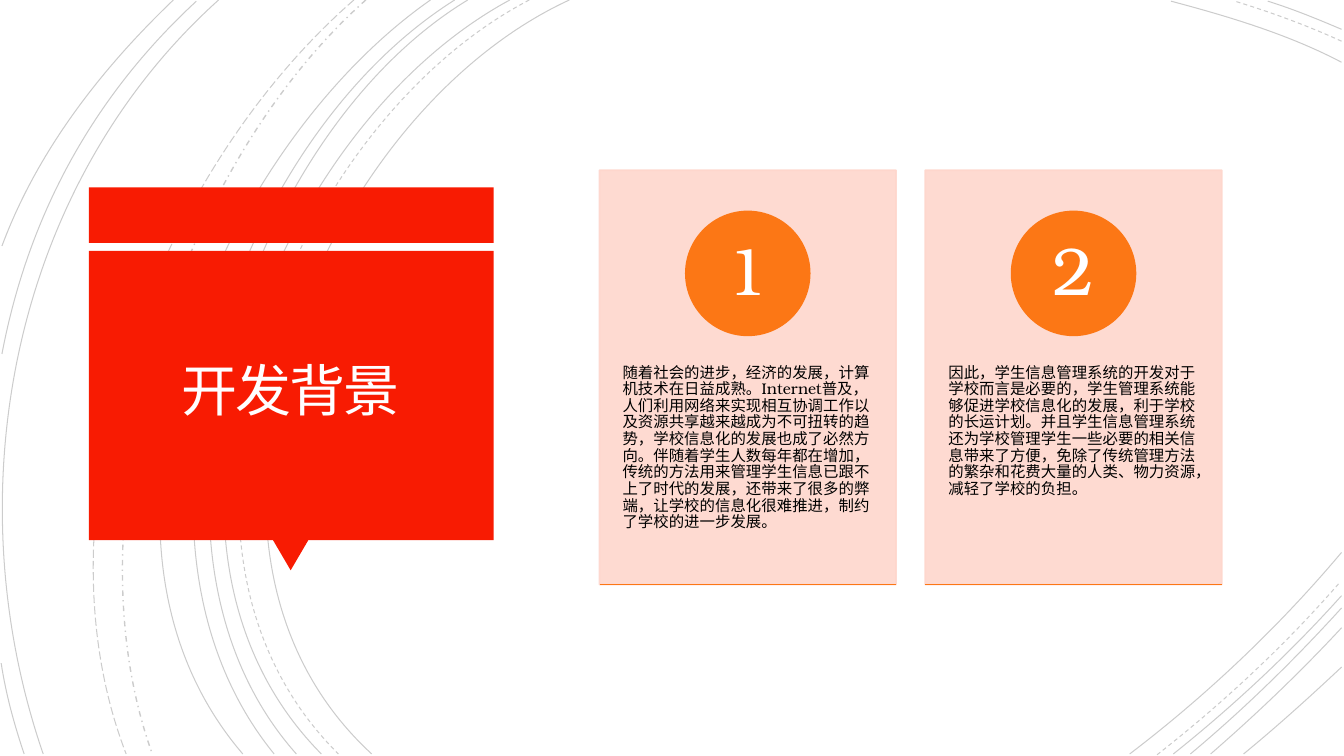
from pptx import Presentation
from pptx.dml.color import RGBColor
from pptx.enum.dml import MSO_LINE_DASH_STYLE as Dash
from pptx.enum.shapes import MSO_CONNECTOR as Connector, MSO_SHAPE as Shape
from pptx.enum.text import MSO_ANCHOR as Anchor, PP_ALIGN as Align
from pptx.oxml.ns import qn
from pptx.util import Cm, Pt
from lxml.etree import SubElement

BLACK = RGBColor(0x00, 0x00, 0x00)
WHITE = RGBColor(0xFF, 0xFF, 0xFF)
TITLE_WHITE = RGBColor(0xFF, 0xFE, 0xFF)
RED = RGBColor(0xF8, 0x1B, 0x02)
PINK = RGBColor(0xFE, 0xD6, 0xCC)
ORANGE = RGBColor(0xFC, 0x77, 0x15)
TITLE_FONT = "Calibri"
BODY_FONT = "TeX Gyre Bonum"

SOLID_ARCS = [
    (14.35, 0, 8, 2.92, 3.63, 13.72, 9.37, 19),
    (33.81, 1.57, 32.46, 0.86, 30.94, 0.41, 29.51, 0.03),
    (28.47, 19, 30.4, 17.53, 32.23, 15.8, 33.81, 13.92),
    (12.85, 0, 6.86, 3.23, 2.79, 13.64, 8.1, 19),
    (33.81, 0.74, 33.2, 0.48, 32.59, 0.23, 31.95, 0.03),
    (29.57, 19, 31.06, 17.81, 32.51, 16.46, 33.81, 15.01),
    (11.79, 0, 6.2, 3.38, 2.79, 13.74, 7.47, 19),
    (30, 19, 31.34, 17.88, 32.61, 16.64, 33.81, 15.32),
    (11.46, 0, 5.87, 3.51, 2.46, 13.54, 6.91, 19),
    (30.51, 19, 31.65, 18.01, 32.77, 16.94, 33.81, 15.82),
    (10.85, 0, 5.51, 3.73, 1.35, 13.44, 6.12, 19),
    (31.34, 19, 32.18, 18.31, 32.99, 17.58, 33.81, 16.81),
    (5.51, 0, 0.28, 4.7, -1.17, 12.45, 1.09, 19),
    (4.95, 0.03, 2.34, 2.44, 0.71, 5.44, 0.05, 8.92),
    (0.03, 16.71, 0.15, 17.5, 0.36, 18.26, 0.61, 19),
    (4.37, 0, 2.54, 1.75, 0.94, 3.81, 0.05, 6.2),
]
DASHED_ARCS = [
    (13.34, 0, 7.24, 3.18, 3.12, 13.64, 8.53, 19),
    (33.81, 1.04, 32.94, 0.64, 32, 0.3, 31.12, 0.03),
    (29.16, 19.02, 30.81, 17.73, 32.39, 16.26, 33.78, 14.66),
]
DASH_DOT_ARCS = [(9.22, 0, 4.47, 4.22, 1.65, 12.93, 3.84, 19)]
LONG_DASH_ARCS = [(8.92, 0, 3.99, 4.29, 0.74, 12.67, 3.18, 19)]
ARC_STYLES = [
    (SOLID_ARCS, Dash.SOLID, 0.75),
    (DASHED_ARCS, Dash.DASH, 0.75),
    (DASH_DOT_ARCS, Dash.DASH_DOT, 1),
    (LONG_DASH_ARCS, Dash.LONG_DASH, 0.75),
]

CARD_TEXTS = [
    "随着社会的进步，经济的发展，计算机技术在日益成熟。Internet普及，人们利用网络来实现相互协调工作以及资源共享越来越成为不可扭转的趋势，"
    "学校信息化的发展也成了必然方向。伴随着学生人数每年都在增加，传统的方法用来管理学生信息已跟不上了时代的发展，"
    "还带来了很多的弊端，让学校的信息化很难推进，制约了学校的进一步发展。",
    "因此，学生信息管理系统的开发对于学校而言是必要的，学生管理系统能够促进学校信息化的发展，利于学校的长运计划。"
    "并且学生信息管理系统还为学校管理学生一些必要的相关信息带来了方便，免除了传统管理方法的繁杂和花费大量的人类、物力资源，"
    "减轻了学校的负担。",
]


def set_opacity(shape, percent):
    """Give every solid colour of the shape the same opacity."""
    for color in shape.element.iter(qn("a:srgbClr")):
        SubElement(color, qn("a:alpha")).set("val", str(percent * 1000))


def add_arc(slide, points, dash, width):
    """Draw one thin cubic curve through the given control points."""
    start, *rest = [(Cm(x), Cm(y)) for x, y in zip(points[::2], points[1::2])]
    builder = slide.shapes.build_freeform(*start)
    builder.add_line_segments(rest, close=False)
    arc = builder.convert_to_shape()
    outline = next(arc.element.iter(qn("a:path")))
    curve = SubElement(outline, qn("a:cubicBezTo"))
    for segment in outline.findall(qn("a:lnTo")):
        curve.append(segment[0])
        outline.remove(segment)
    arc.shadow.inherit = False
    arc.fill.background()
    arc.line.color.rgb = BLACK
    arc.line.width = Pt(width)
    arc.line.dash_style = dash
    set_opacity(arc, 20)


def add_block(slide, kind, left, top, width, height, color, outlined=False):
    """Add a filled preset shape, optionally outlined in its own colour."""
    block = slide.shapes.add_shape(kind, Cm(left), Cm(top), Cm(width), Cm(height))
    block.shadow.inherit = False
    block.fill.solid()
    block.fill.fore_color.rgb = color
    if outlined:
        block.line.color.rgb = color
        block.line.width = Pt(1.25)
    else:
        block.line.fill.background()
    return block


def add_text(slide, text, left, top, width, height, insets, font, size, color,
             align=Align.LEFT, anchor=Anchor.TOP, spacing=0.9):
    """Add a wrapped one-paragraph text box."""
    box = slide.shapes.add_textbox(Cm(left), Cm(top), Cm(width), Cm(height))
    frame = box.text_frame
    frame.word_wrap = True
    frame.vertical_anchor = anchor
    frame.margin_left = frame.margin_right = Cm(insets[0])
    frame.margin_top = frame.margin_bottom = Cm(insets[1])
    paragraph = frame.paragraphs[0]
    paragraph.text = text
    paragraph.alignment = align
    paragraph.line_spacing = spacing
    paragraph.font.name = font
    paragraph.font.size = Pt(size)
    paragraph.font.color.rgb = color
    return box


def add_background(slide):
    """Draw the sweeping arcs behind the content."""
    for arcs, dash, width in ARC_STYLES:
        for points in arcs:
            add_arc(slide, points, dash, width)


def add_title_panel(slide, left, top, width, height):
    """Draw the red callout with its top band, pointer and title."""
    band, panel_offset, pointer_height = 1.4, 1.6, 0.76
    panel_height = height - panel_offset - pointer_height
    panel_top = top + panel_offset
    add_block(slide, Shape.RECTANGLE, left, top, width, band, RED)
    pointer = add_block(slide, Shape.ISOSCELES_TRIANGLE, left + 4.64,
                        panel_top + panel_height, 0.89, pointer_height, RED)
    pointer.rotation = 180
    add_block(slide, Shape.RECTANGLE, left, panel_top, width, panel_height, RED)
    title = add_text(slide, "开发背景", left + 0.22, panel_top + 0.21, width - 0.47,
                     panel_height - 0.46, (0.64, 0.64), TITLE_FONT, 40, TITLE_WHITE,
                     Align.CENTER, Anchor.MIDDLE, 0.85)
    for properties in title.element.iter(qn("a:defRPr")):
        properties.set("spc", "-150")


def add_card(slide, number, text, left, top, width, height):
    """Draw a numbered card with its text and bottom rule."""
    circle, number_box = 3.12, 2.2
    circle_top = top + 1.04
    card = add_block(slide, Shape.RECTANGLE, left, top, width, height, PINK, True)
    set_opacity(card, 90)
    add_text(slide, text, left, top + 3.99, width, 6.27, (0.58, 0.91),
             BODY_FONT, 11, BLACK)
    add_block(slide, Shape.OVAL, left + (width - circle) / 2, circle_top,
              circle, circle, ORANGE, True)
    add_text(slide, str(number), left + (width - number_box) / 2,
             circle_top + (circle - number_box) / 2, number_box, number_box,
             (0.25, 0.03), BODY_FONT, 48, WHITE, Align.CENTER, Anchor.MIDDLE)
    rule = slide.shapes.add_connector(Connector.STRAIGHT, Cm(left), Cm(top + height),
                                      Cm(left + width), Cm(top + height))
    rule.line.color.rgb = ORANGE
    rule.line.width = Pt(1.25)
    SubElement(rule.element.find(qn("p:spPr")), qn("a:effectLst"))


def main():
    """Build the development background slide."""
    presentation = Presentation()
    presentation.slide_width = Cm(33.87)
    presentation.slide_height = Cm(19.05)
    slide = presentation.slides.add_slide(presentation.slide_layouts[6])
    add_background(slide)
    add_title_panel(slide, 2.24, 4.72, 10.2, 9.65)
    for index, text in enumerate(CARD_TEXTS):
        add_card(slide, index + 1, text, 15.11 + 8.21 * index, 4.29, 7.47, 10.44)
    presentation.save("out.pptx")


if __name__ == "__main__":
    main()
